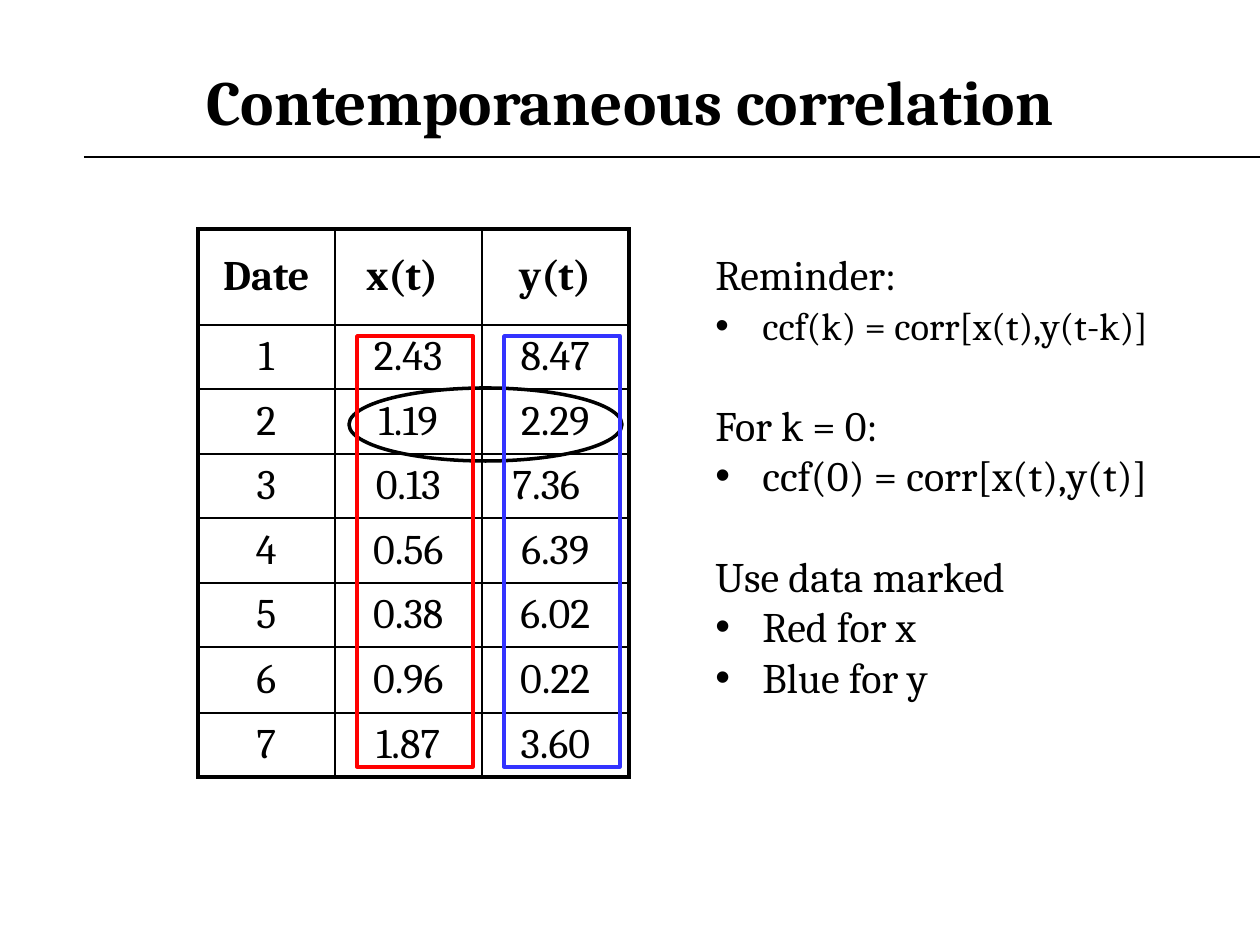
from dataclasses import dataclass
from typing import NamedTuple

from lxml.etree import SubElement
from pptx import Presentation
from pptx.dml.color import RGBColor
from pptx.enum.shapes import MSO_CONNECTOR as Connector, MSO_SHAPE as Preset
from pptx.enum.text import MSO_ANCHOR as Anchor, PP_ALIGN as Align
from pptx.oxml.ns import qn
from pptx.util import Emu, Pt

PX_PER_INCH = 126


def px(length: int) -> Emu:
    return Emu(round(length * 914400 / PX_PER_INCH))


@dataclass(frozen=True)
class Theme:
    font: str = "Cambria"
    black: str = "000000"
    red: str = "FF0000"
    blue: str = "3333FF"
    title_size: int = 36
    body_size: int = 24
    formula_size: int = 22
    thin: float = 1
    thick: float = 2.25
    mark: float = 2
    rule: float = 0.75


THEME = Theme()


class Box(NamedTuple):
    left: int
    top: int
    width: int
    height: int

    def lengths(self) -> list[Emu]:
        return [px(length) for length in self]


class Mark(NamedTuple):
    preset: Preset
    box: Box
    color: str


class Line(NamedTuple):
    text: str
    bullet: bool = False
    size: int = THEME.body_size
    space_before: int = 0


# Content
HEADER = ("Date", "x(t)", "y(t)")
SERIES = (
    ("2.43", "8.47"), ("1.19", "2.29"), ("0.13", "7.36"), ("0.56", "6.39"),
    ("0.38", "6.02"), ("0.96", "0.22"), ("1.87", "3.60"),
)
ROWS = [HEADER] + [(str(date), x, y) for date, (x, y) in enumerate(SERIES, 1)]
COLUMN_WIDTHS = (137, 147, 147)
ROW_HEIGHTS = (96, 64, 65, 64, 65, 64, 66, 64)
RIGHT_MARGINS = {"x(t)": 25, "7.36": 31}  # these two sit left of centre
SECTION_GAP = 29
NOTES = (
    Line("Reminder:"),
    Line("ccf(k) = corr[x(t),y(t-k)]", True, THEME.formula_size, 2),
    Line("For k = 0:", space_before=SECTION_GAP),
    Line("ccf(0) = corr[x(t),y(t)]", True),
    Line("Use data marked", space_before=SECTION_GAP),
    Line("Red for x", True),
    Line("Blue for y", True),
)
MARKS = (
    Mark(Preset.OVAL, Box(349, 388, 273, 73), THEME.black),
    Mark(Preset.RECTANGLE, Box(357, 336, 116, 431), THEME.red),
    Mark(Preset.RECTANGLE, Box(504, 336, 116, 431), THEME.blue),
)


def apply(target, formats: dict) -> None:
    for name, value in formats.items():
        setattr(target, name, value)


def write(paragraph, text: str, size: int, bold: bool = False) -> None:
    run = paragraph.add_run()
    run.text = text
    apply(run.font, {"name": THEME.font, "size": Pt(size), "bold": bold})
    run.font.color.rgb = RGBColor.from_string(THEME.black)


def style_line(line, color: str, width: float) -> None:
    line.color.rgb = RGBColor.from_string(color)
    line.width = Pt(width)


def add_text_frame(slide, box: Box, anchor: Anchor):
    frame = slide.shapes.add_textbox(*box.lengths()).text_frame
    apply(frame, {"word_wrap": True, "vertical_anchor": anchor})
    return frame


def add_title(slide, text: str) -> None:
    frame = add_text_frame(slide, Box(63, 42, 1134, 116), Anchor.MIDDLE)
    paragraph = frame.paragraphs[0]
    paragraph.alignment = Align.CENTER
    write(paragraph, text, THEME.title_size, bold=True)


def add_rule(slide) -> None:
    rule = slide.shapes.add_connector(
        Connector.STRAIGHT, px(84), px(157), px(1260), px(157))
    style_line(rule.line, THEME.black, THEME.rule)
    SubElement(rule.line._get_or_add_ln().getparent(), qn("a:effectLst"))


def set_indent(paragraph, bullet: bool) -> None:
    properties = paragraph._p.get_or_add_pPr()
    properties.set("marL", str(px(47)))
    properties.set("indent", str(px(-47)))
    if bullet:
        SubElement(properties, qn("a:buFont"), typeface="Arial")
        SubElement(properties, qn("a:buChar"), char="•")
    else:
        SubElement(properties, qn("a:buNone"))


def add_notes(slide, lines: tuple[Line, ...]) -> None:
    frame = add_text_frame(slide, Box(703, 242, 483, 525), Anchor.TOP)
    for index, line in enumerate(lines):
        paragraph = frame.add_paragraph() if index else frame.paragraphs[0]
        paragraph.space_before = Pt(line.space_before)
        set_indent(paragraph, line.bullet)
        write(paragraph, line.text, line.size)


def set_borders(cell, outer_sides: dict[str, bool]) -> None:
    properties = cell._tc.get_or_add_tcPr()
    for side, outer in outer_sides.items():
        width = Pt(THEME.thick if outer else THEME.thin)
        border = SubElement(properties, qn(f"a:ln{side}"), w=str(width))
        fill = SubElement(border, qn("a:solidFill"))
        SubElement(fill, qn("a:srgbClr"), val=THEME.black)


def add_data_table(slide) -> None:
    box = Box(198, 229, sum(COLUMN_WIDTHS), sum(ROW_HEIGHTS))
    table = slide.shapes.add_table(
        len(ROWS), len(HEADER), *box.lengths()).table
    apply(table, {"first_row": False, "horz_banding": False})
    for column, width in zip(table.columns, COLUMN_WIDTHS):
        column.width = px(width)
    for row, height in zip(table.rows, ROW_HEIGHTS):
        row.height = px(height)

    last_row, last_column = len(ROWS) - 1, len(HEADER) - 1
    for row, values in enumerate(ROWS):
        for column, value in enumerate(values):
            cell = table.cell(row, column)
            apply(cell, {
                "vertical_anchor": Anchor.MIDDLE,
                "margin_right": px(RIGHT_MARGINS.get(value, 13)),
            })
            set_borders(cell, {
                "L": column == 0, "R": column == last_column,
                "T": row == 0, "B": row == last_row,
            })
            cell.fill.background()
            paragraph = cell.text_frame.paragraphs[0]
            paragraph.alignment = Align.CENTER
            write(paragraph, value, THEME.body_size, bold=row == 0)


def add_mark(slide, mark: Mark) -> None:
    shape = slide.shapes.add_shape(mark.preset, *mark.box.lengths())
    shape.shadow.inherit = False
    shape.fill.background()
    style_line(shape.line, mark.color, THEME.mark)


def main() -> None:
    presentation = Presentation()
    apply(presentation, {"slide_width": px(1260), "slide_height": px(945)})
    slide = presentation.slides.add_slide(presentation.slide_layouts[6])

    # Heading
    add_rule(slide)
    add_title(slide, "Contemporaneous correlation")

    # Explanation and data
    add_notes(slide, NOTES)
    add_data_table(slide)

    # Highlights over the table
    for mark in MARKS:
        add_mark(slide, mark)

    presentation.save("out.pptx")


if __name__ == "__main__":
    main()
